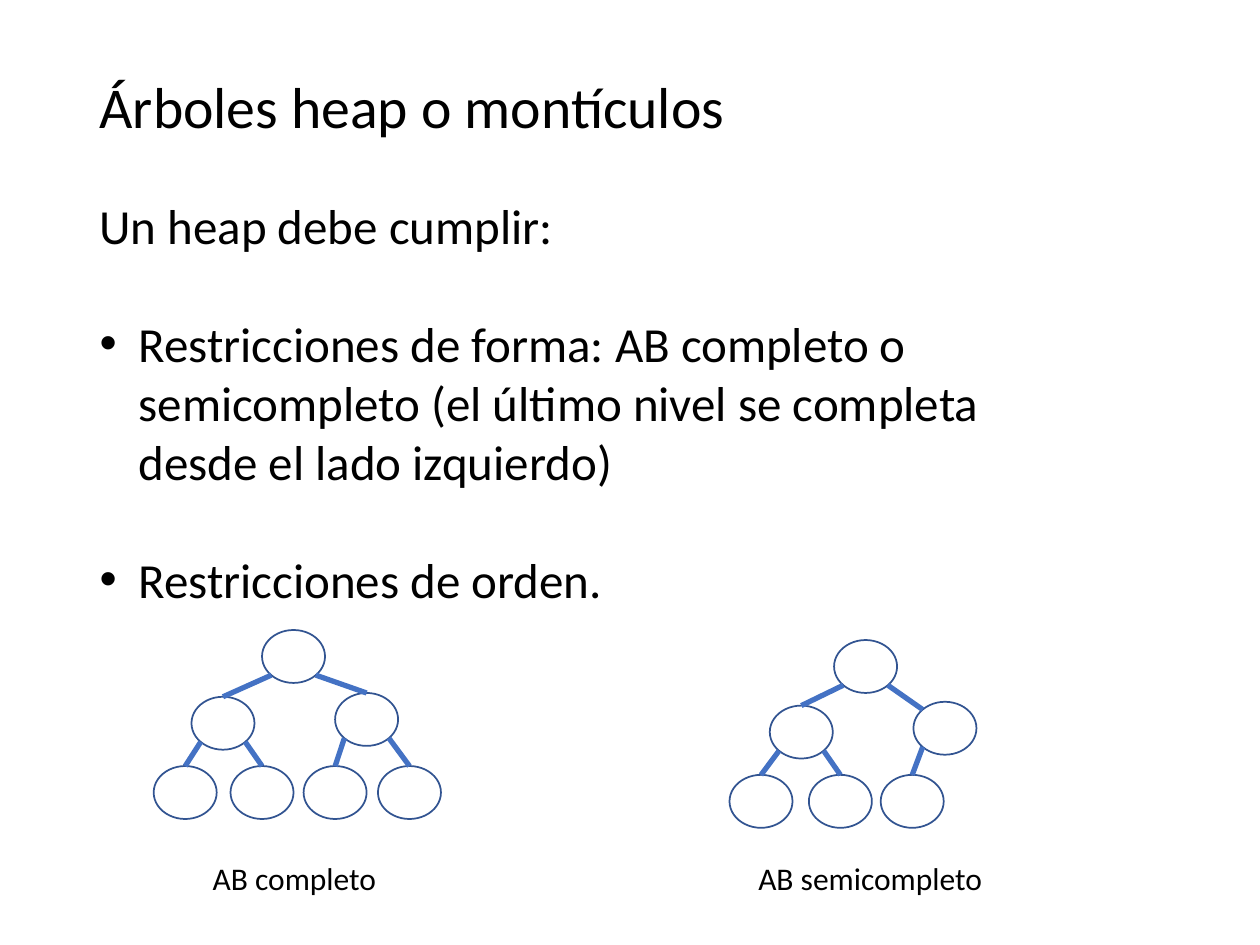
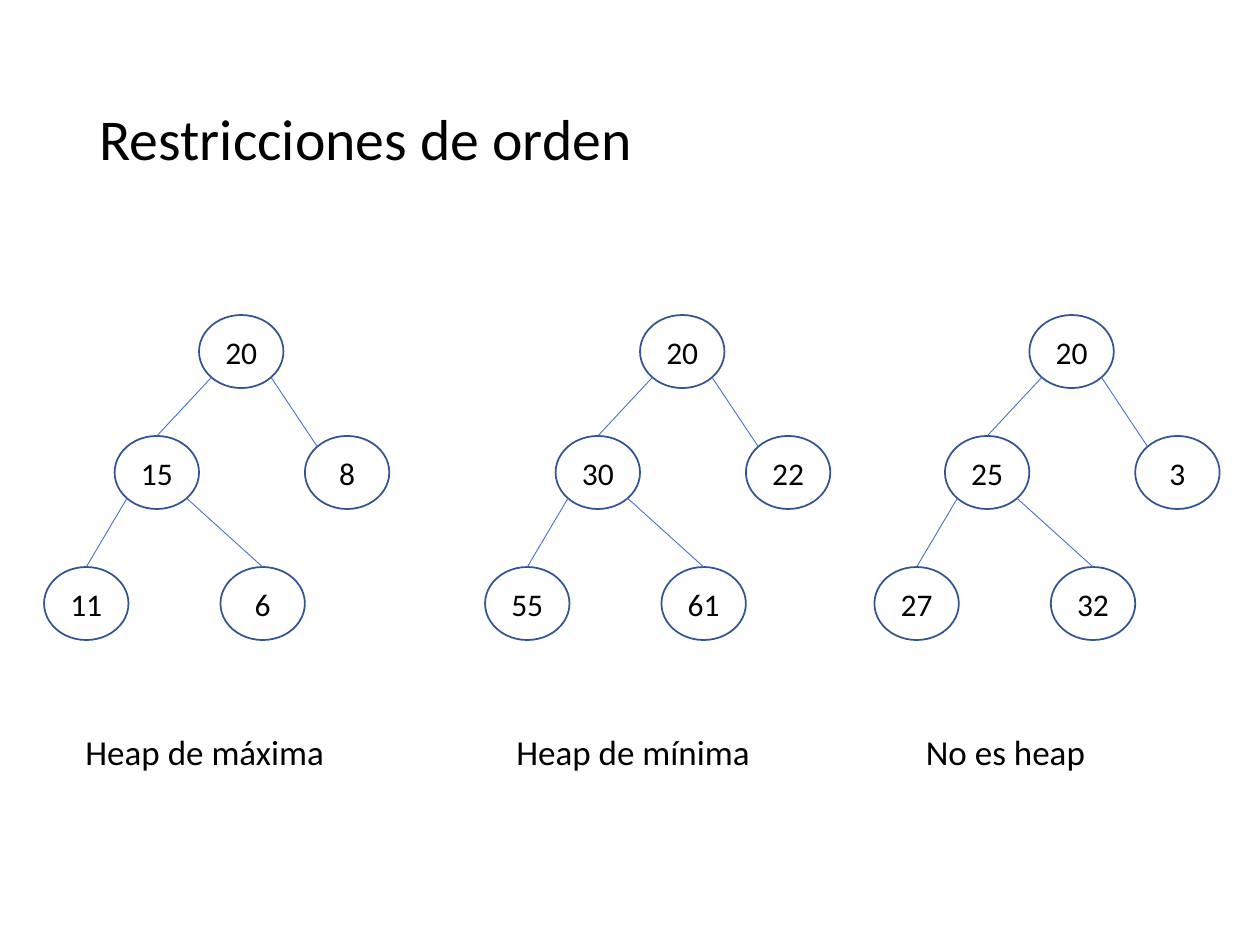
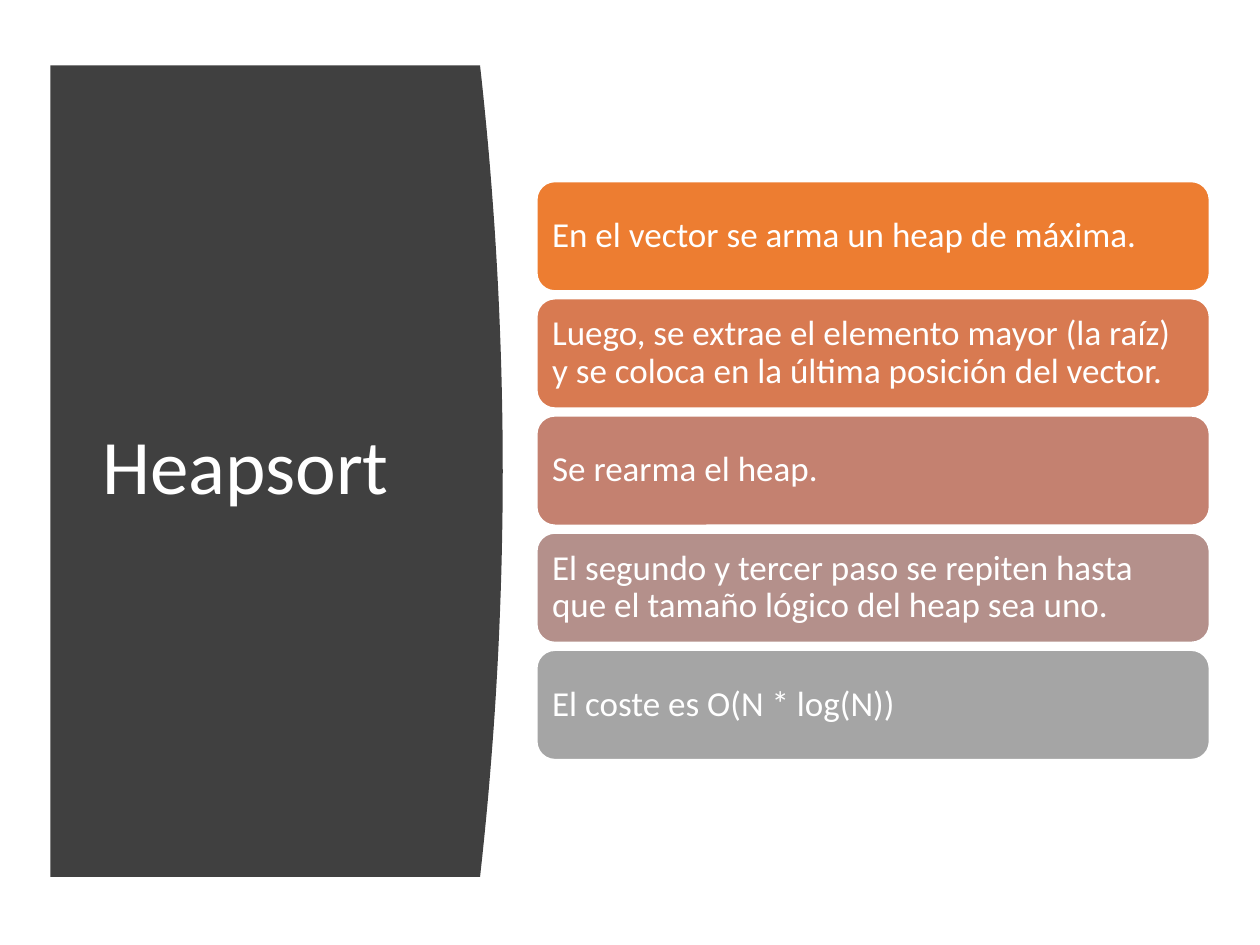
from dataclasses import dataclass
from math import sqrt

from lxml.etree import SubElement
from pptx import Presentation
from pptx.dml.color import RGBColor
from pptx.enum.shapes import MSO_CONNECTOR, MSO_SHAPE
from pptx.enum.text import MSO_ANCHOR, MSO_AUTO_SIZE, PP_ALIGN
from pptx.oxml.ns import qn
from pptx.util import Inches, Pt


@dataclass(frozen=True)
class Theme:
    font: str = "Calibri"
    black: RGBColor = RGBColor.from_string("000000")
    white: RGBColor = RGBColor.from_string("FFFFFF")
    outline: RGBColor = RGBColor.from_string("325491")
    edge: RGBColor = RGBColor.from_string("4472C4")
    panel: RGBColor = RGBColor.from_string("404040")
    steps: tuple = ("ED7D31", "D87A51", "C48170", "B4908B", "A5A5A5")
    title: int = 33
    section: int = 44
    body: int = 28
    label: int = 20
    small: int = 18


theme = Theme()


def write(paragraph, text, size, color=theme.black, align=PP_ALIGN.LEFT, spacing=1.0):
    paragraph.text = text
    paragraph.alignment = align
    paragraph.line_spacing = spacing
    paragraph.space_before = Pt(0)
    paragraph.font.name = theme.font
    paragraph.font.size = Pt(size)
    paragraph.font.color.rgb = color


def draw_tree(page, nodes, width, height, edge_width, shoulder=None):
    """Draw a binary tree given as (left, top, label) in level order.

    The edge to the node numbered shoulder ends at its upper left.
    """
    reach_x, reach_y = width / sqrt(8), height / sqrt(8)
    for left, top, label in nodes:
        node = page.shapes.add_shape(MSO_SHAPE.OVAL, Inches(left), Inches(top),
                                     Inches(width), Inches(height))
        node.shadow.inherit = False
        node.fill.solid()
        node.fill.fore_color.rgb = theme.white
        node.line.color.rgb = theme.outline
        node.line.width = Pt(1)
        if label:
            frame = node.text_frame
            frame.margin_left = frame.margin_right = 0
            write(frame.paragraphs[0], label, theme.small, align=PP_ALIGN.CENTER)

    for index, (left, top, _) in enumerate(nodes[1:], start=1):
        parent_left, parent_top, _ = nodes[(index - 1) // 2]
        side = -1 if index % 2 else 1
        start_x = parent_left + width / 2 + side * reach_x
        start_y = parent_top + height / 2 + reach_y
        end_x, end_y = left + width / 2, top
        if index == shoulder:
            end_x, end_y = end_x - reach_x, top + height / 2 - reach_y
        edge = page.shapes.add_connector(MSO_CONNECTOR.STRAIGHT, Inches(start_x),
                                         Inches(start_y), Inches(end_x), Inches(end_y))
        edge.line.color.rgb = theme.edge
        edge.line.width = Pt(edge_width)
        SubElement(edge.element.spPr, qn("a:effectLst"))


deck = Presentation()
deck.slide_width, deck.slide_height = Inches(10), Inches(7.5)

# Slides and titles: layout, text, box, bottom inset, size, colour
title_box = (0.69, 0.4, 8.62, 1.45)
openings = [
    (1, "Árboles heap o montículos", title_box, 0.55, theme.title, theme.black),
    (5, "Restricciones de orden", title_box, 0.05, theme.title, theme.black),
    (5, "Heapsort", (0.71, 1.11, 2.8, 5.24), 0.05, theme.section, theme.white),
]
for layout, text, box, inset, size, color in openings:
    page = deck.slides.add_slide(deck.slide_layouts[layout])
    title = page.shapes.title
    title.left, title.top, title.width, title.height = map(Inches, box)
    frame = title.text_frame
    frame.auto_size = MSO_AUTO_SIZE.NONE
    frame.vertical_anchor = MSO_ANCHOR.MIDDLE
    frame.margin_bottom = Inches(inset)
    write(frame.paragraphs[0], text, size, color, spacing=0.9)
shape_page, order_page, sort_page = deck.slides

# Slide 1: list of conditions
body = shape_page.placeholders[1]
body.left, body.top, body.width, body.height = map(Inches, (0.69, 1.5, 7.9, 3.4))
frame = body.text_frame
frame.auto_size = MSO_AUTO_SIZE.NONE
conditions = [
    "Un heap debe cumplir:",
    "Restricciones de forma: AB completo o semicompleto "
    "(el último nivel se completa desde el lado izquierdo)",
    "Restricciones de orden.",
]
for index, text in enumerate(conditions):
    para = frame.add_paragraph() if index else frame.paragraphs[0]
    properties = para._p.get_or_add_pPr()
    indent = Inches(0.31) if index else 0
    properties.set("marL", str(indent))
    properties.set("indent", str(-indent))
    if index:
        SubElement(properties, qn("a:buChar"), char="•")
    else:
        SubElement(properties, qn("a:buNone"))
    write(para, text, theme.body)
    if index:
        para.space_before = Pt(34)

# Slide 1: complete and semicomplete trees
complete = [(2.08, 5, ""), (1.52, 5.53, ""), (2.66, 5.5, "")]
complete += [(left, 6.08, "") for left in (1.22, 1.83, 2.41, 3)]
semicomplete = [(6.62, 5.08, ""), (6.11, 5.6, ""), (7.25, 5.57, "")]
semicomplete += [(left, 6.15, "") for left in (5.79, 6.42, 6.99)]
draw_tree(shape_page, complete, 0.5, 0.42, 3)
draw_tree(shape_page, semicomplete, 0.5, 0.42, 3, shoulder=2)

# Slide 2: three trees of the same form
node_offsets = [(1.23, 2.5), (0.56, 3.46), (2.07, 3.46), (0, 4.5), (1.4, 4.5)]
heaps = [
    (0.35, ("20", "15", "8", "11", "6")),
    (3.85, ("20", "30", "22", "55", "61")),
    (6.94, ("20", "25", "3", "27", "32")),
]
for tree_left, labels in heaps:
    nodes = [(tree_left + offset, top, label)
             for (offset, top), label in zip(node_offsets, labels)]
    draw_tree(order_page, nodes, 0.67, 0.58, 0.5, shoulder=2)

# Captions below the trees
captions = [
    (shape_page, "AB completo", (1.59, 6.77, 2.36, 0.4), theme.small),
    (shape_page, "AB semicompleto", (5.92, 6.77, 2.46, 0.4), theme.small),
    (order_page, "Heap de máxima", (0.58, 5.75, 2.5, 0.44), theme.label),
    (order_page, "Heap de mínima", (4, 5.75, 2.5, 0.44), theme.label),
    (order_page, "No es heap", (7.25, 5.75, 2.5, 0.44), theme.label),
]
for page, text, box, size in captions:
    caption = page.shapes.add_textbox(*map(Inches, box))
    caption.text_frame.word_wrap = True
    write(caption.text_frame.paragraphs[0], text, size)

# Slide 3: dark panel with a curved right side, behind the title
panel_left, panel_top, panel_bottom = 0.4, 0.52, 6.96
middle, half = (panel_top + panel_bottom) / 2, (panel_bottom - panel_top) / 2
curve = []
for step in range(41):
    ratio = step / 20 - 1
    curve.append((Inches(3.99 - 0.18 * ratio ** 2), Inches(middle + half * ratio)))
builder = sort_page.shapes.build_freeform(Inches(panel_left), Inches(panel_top))
builder.add_line_segments(curve + [(Inches(panel_left), Inches(panel_bottom))], close=True)
panel = builder.convert_to_shape()
panel.shadow.inherit = False
panel.fill.solid()
panel.fill.fore_color.rgb = theme.panel
panel.line.fill.background()
sort_page.shapes.title.element.addprevious(panel.element)

# Slide 3: steps of the algorithm
steps = [
    "En el vector se arma un heap de máxima.",
    "Luego, se extrae el elemento mayor (la raíz) y se coloca en la última posición del vector.",
    "Se rearma el heap.",
    "El segundo y tercer paso se repiten hasta que el tamaño lógico del heap sea uno.",
    "El coste es O(N * log(N))",
]
for index, (text, color) in enumerate(zip(steps, theme.steps)):
    card = sort_page.shapes.add_shape(MSO_SHAPE.ROUNDED_RECTANGLE, Inches(4.26),
                                      Inches(1.44 + 0.93 * index), Inches(5.34), Inches(0.87))
    card.shadow.inherit = False
    card.fill.solid()
    card.fill.fore_color.rgb = RGBColor.from_string(color)
    card.line.color.rgb = theme.white
    card.line.width = Pt(1)
    frame = card.text_frame
    frame.word_wrap = True
    frame.vertical_anchor = MSO_ANCHOR.MIDDLE
    # The rounded corners add about 0.04 to the inset
    frame.margin_left = frame.margin_right = Inches(0.08)
    write(frame.paragraphs[0], text, theme.label, theme.white, spacing=0.9)

deck.save("out.pptx")
